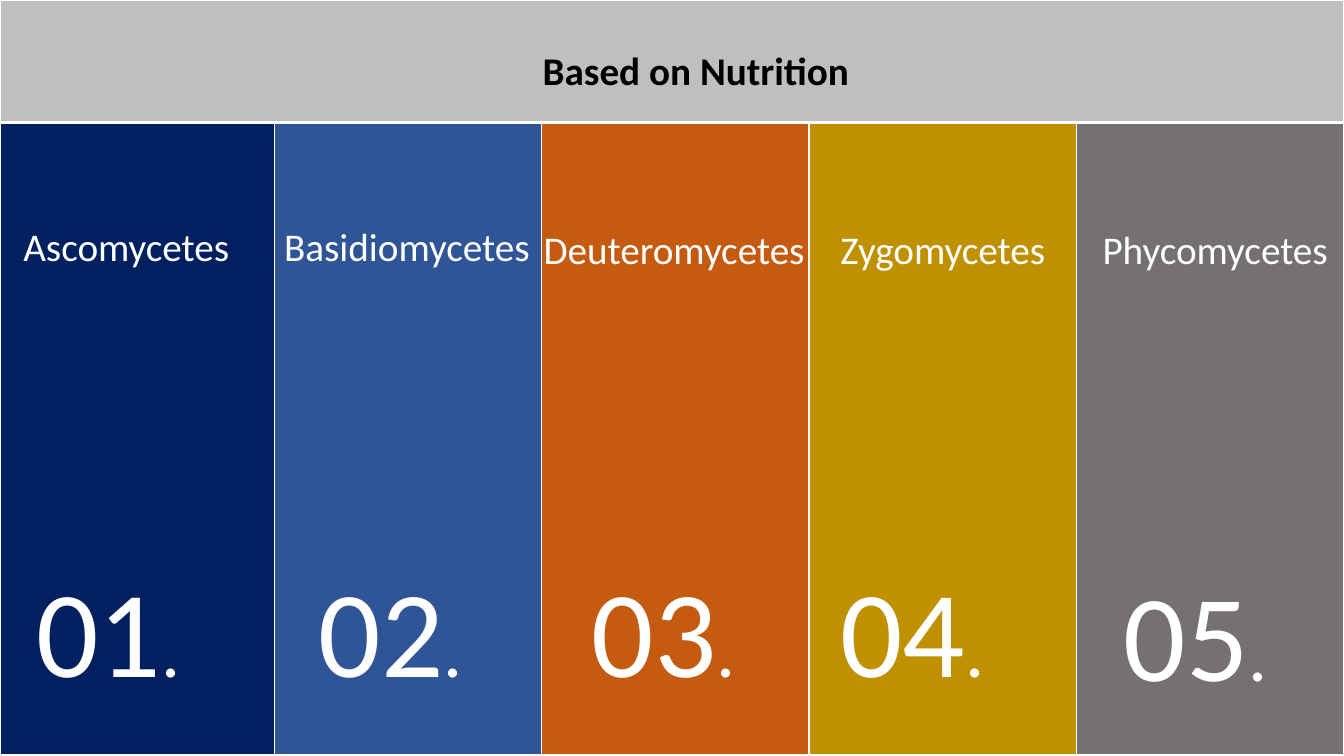
from dataclasses import dataclass

import pptx
import pptx.dml.color
import pptx.enum.text
import pptx.oxml
import pptx.oxml.ns
import pptx.util


@dataclass(frozen=True)
class Theme:
    font: str = "Calibri"
    header_fill: str = "BFBFBF"
    title_color: str = "000000"
    light: str = "FFFFFF"
    label_size: int = 28
    number_size: int = 88
    dot_size: int = 54


@dataclass(frozen=True)
class Panel:
    """Offsets and widths are in columns, tops in percent of slide height."""
    name: str
    fill: str
    label_offset: float
    label_width: float
    label_top: float
    number_offset: float
    number_top: float


@dataclass(frozen=True)
class Box:
    """Lengths in inches."""
    left: float
    top: float
    width: float
    height: float

    def emu(self) -> list[int]:
        return [pptx.util.Inches(v) for v in (self.left, self.top, self.width, self.height)]


THEME = Theme()
PANELS = [
    Panel("Ascomycetes", "002060", 0.05, 0.98, 28.8, 0.1, 72.67),
    Panel("Basidiomycetes", "2F5597", 0, 1.19, 28.8, 0.13, 72.67),
    Panel("Deuteromycetes", "C55A11", -0.03, 1.13, 29.2, 0.15, 72.67),
    Panel("Zygomycetes", "BF9000", 0.08, 0.98, 29.2, 0.08, 72.67),
    Panel("Phycomycetes", "767171", 0.06, 0.92, 29.2, 0.14, 73.2),
]

# Grid: a header row, a slightly wider first column, then equal columns
WIDTH, HEIGHT = 13.33, 7.5
PERCENT = HEIGHT / 100
HEADER = 16.27 * PERCENT
FIRST_COLUMN = 0.204 * WIDTH
COLUMN = (WIDTH - FIRST_COLUMN) / (len(PANELS) - 1)
LABEL_HEIGHT = 7.6 * PERCENT
NUMBER_HEIGHT = 21.07 * PERCENT
NUMBER_WIDTH = 0.7 * COLUMN
BORDERS = {"lnL": 1, "lnR": 1, "lnT": 1, "lnB": 3}


def add_block(slide, box: Box, fill: str) -> None:
    """Draw a one-cell table with a solid fill and light borders."""
    table = slide.shapes.add_table(1, 1, *box.emu()).table
    table.first_row = False
    table.horz_banding = False
    cell = table.cell(0, 0)
    cell.fill.solid()
    cell.fill.fore_color.rgb = pptx.dml.color.RGBColor.from_string(fill)
    properties = cell._tc.get_or_add_tcPr()
    for index, (tag, points) in enumerate(BORDERS.items()):
        properties.insert(index, pptx.oxml.parse_xml(
            f'<a:{tag} {pptx.oxml.ns.nsdecls("a")} w="{pptx.util.Pt(points)}">'
            f'<a:solidFill><a:srgbClr val="{THEME.light}"/></a:solidFill></a:{tag}>'))


def add_text(slide, box: Box, *pieces: tuple[str, int], color: str = THEME.light,
             bold: bool = False, inset: float = 0.1) -> None:
    """Draw one paragraph made of (text, size) pieces."""
    frame = slide.shapes.add_textbox(*box.emu()).text_frame
    frame.word_wrap = True
    frame.auto_size = pptx.enum.text.MSO_AUTO_SIZE.SHAPE_TO_FIT_TEXT
    frame.margin_left = pptx.util.Inches(inset)
    for text, size in pieces:
        run = frame.paragraphs[0].add_run()
        run.text = text
        run.font.name = THEME.font
        run.font.size = pptx.util.Pt(size)
        run.font.bold = bold
        run.font.color.rgb = pptx.dml.color.RGBColor.from_string(color)


def add_panel(slide, index: int, panel: Panel) -> None:
    left = FIRST_COLUMN + (index - 1) * COLUMN if index else 0
    width = COLUMN if index else FIRST_COLUMN
    add_block(slide, Box(left, HEADER, width, HEIGHT - HEADER), panel.fill)


def add_panel_text(slide, index: int, panel: Panel) -> None:
    left = FIRST_COLUMN + (index - 1) * COLUMN if index else 0
    number_box = Box(left + panel.number_offset * COLUMN, panel.number_top * PERCENT,
                     NUMBER_WIDTH, NUMBER_HEIGHT)
    add_text(slide, number_box, (f"{index + 1:02}", THEME.number_size), (".", THEME.dot_size))
    label_box = Box(left + panel.label_offset * COLUMN, panel.label_top * PERCENT,
                    panel.label_width * COLUMN, LABEL_HEIGHT)
    add_text(slide, label_box, (panel.name, THEME.label_size))


def main() -> None:
    presentation = pptx.Presentation()
    presentation.slide_width = pptx.util.Inches(WIDTH)
    presentation.slide_height = pptx.util.Inches(HEIGHT)
    slide = presentation.slides.add_slide(presentation.slide_layouts[6])

    # Header
    add_block(slide, Box(0, 0, WIDTH, HEADER), THEME.header_fill)
    add_text(slide, Box(0.37 * WIDTH, 5.47 * PERCENT, 0.3 * WIDTH, LABEL_HEIGHT),
             ("Based on Nutrition", THEME.label_size),
             color=THEME.title_color, bold=True, inset=0.45)

    # Panels first, so that wide labels stay in front of their neighbours
    for draw in (add_panel, add_panel_text):
        for index, panel in enumerate(PANELS):
            draw(slide, index, panel)

    presentation.save("out.pptx")


if __name__ == "__main__":
    main()
